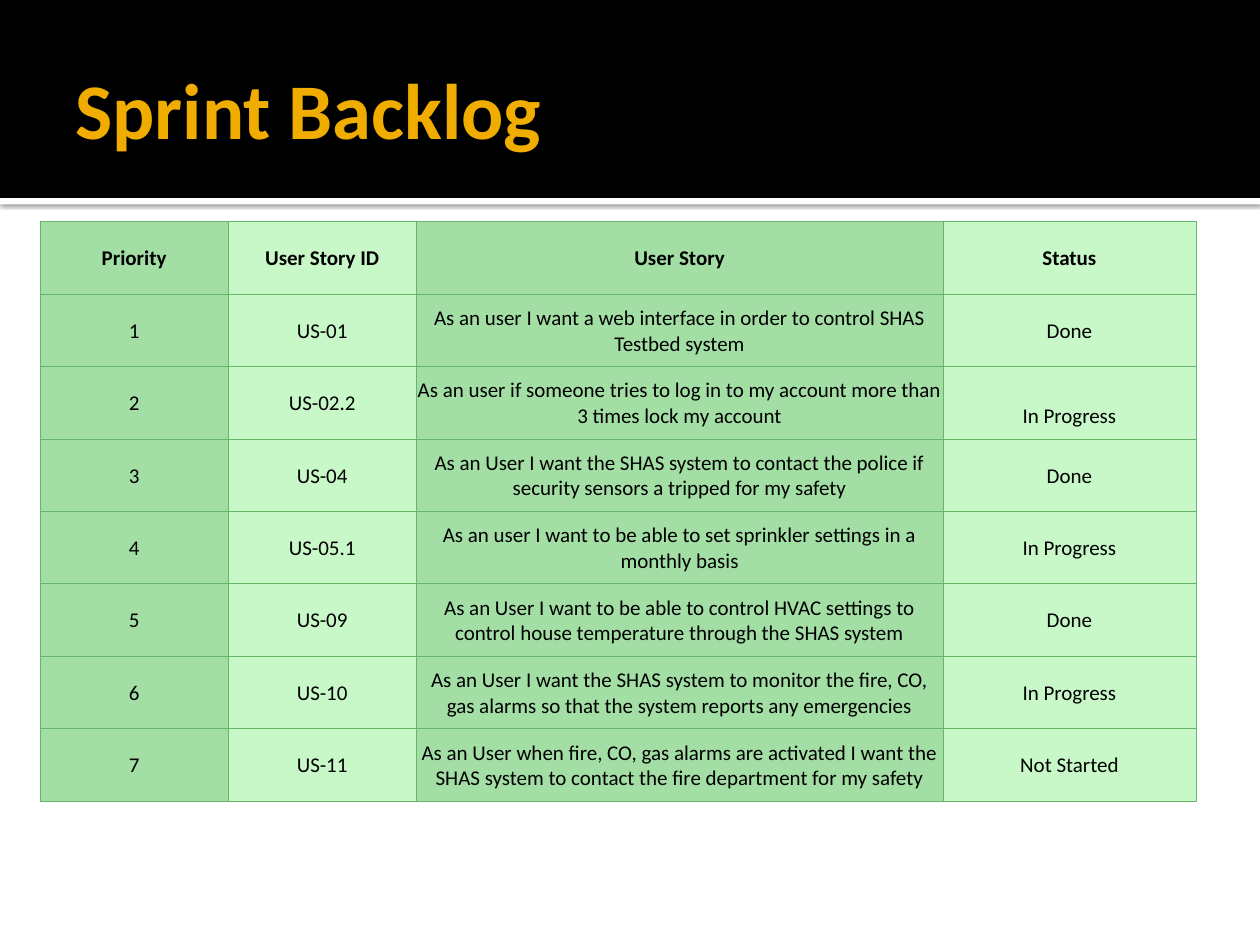
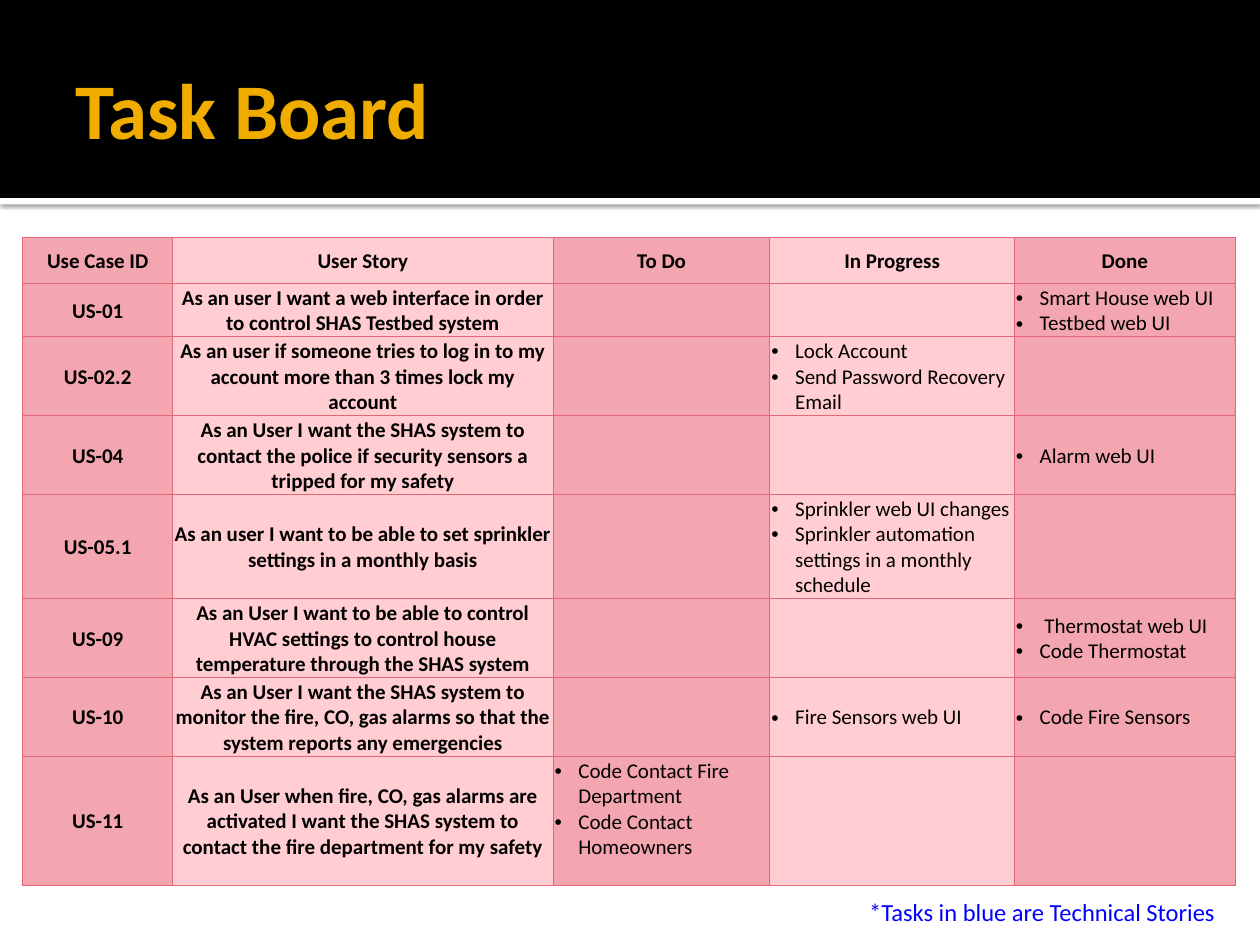
from lxml import etree
from pptx import Presentation
from pptx import util as u
from pptx.dml.color import RGBColor
from pptx.enum import shapes, text
from pptx.oxml import ns

FONT = "Calibri"
BLACK = RGBColor(0, 0, 0)
WHITE = RGBColor(255, 255, 255)
GOLD = RGBColor(0xF0, 0xAD, 0x00)
BLUE = RGBColor(0, 0, 255)
GREEN_DARK = RGBColor(0xA3, 0xDE, 0xA5)
GREEN_LIGHT = RGBColor(0xC8, 0xF8, 0xC8)
GREEN_LINE = RGBColor(0x67, 0xB5, 0x69)
PINK_DARK = RGBColor(0xF4, 0xA6, 0xB0)
PINK_LIGHT = RGBColor(0xFF, 0xCD, 0xD2)
PINK_LINE = RGBColor(0xE4, 0x67, 0x78)

STORIES = [
    ("US-01", "As an user I want a web interface in order to control SHAS Testbed system", "Done"),
    ("US-02.2", "As an user if someone tries to log in to my account more than 3 times lock my account",
     "In Progress"),
    ("US-04", "As an User I want the SHAS system to contact the police if security sensors a tripped "
     "for my safety", "Done"),
    ("US-05.1", "As an user I want to be able to set sprinkler settings in a monthly basis", "In Progress"),
    ("US-09", "As an User I want to be able to control HVAC settings to control house temperature "
     "through the SHAS system", "Done"),
    ("US-10", "As an User I want the SHAS system to monitor the fire, CO, gas alarms so that the "
     "system reports any emergencies", "In Progress"),
    ("US-11", "As an User when fire, CO, gas alarms are activated I want the SHAS system to contact "
     "the fire department for my safety", "Not Started"),
]
TASKS = {
    "US-01": {"Done": ["Smart House web UI", "Testbed web UI"]},
    "US-02.2": {"In Progress": ["Lock Account", "Send Password Recovery Email"]},
    "US-04": {"Done": ["Alarm web UI"]},
    "US-05.1": {"In Progress": ["Sprinkler web UI changes",
                                "Sprinkler automation settings in a monthly schedule"]},
    "US-09": {"Done": ["\u00a0Thermostat web UI", "Code Thermostat"]},
    "US-10": {"In Progress": ["Fire Sensors web UI"], "Done": ["Code Fire Sensors"]},
    "US-11": {"To Do": ["Code Contact Fire Department", "Code Contact Homeowners"]},
}
STAGES = ["To Do", "In Progress", "Done"]

BACKLOG = [["Priority", "User Story ID", "User Story", "Status"]]
BACKLOG += [[str(rank), *story] for rank, story in enumerate(STORIES, 1)]
BOARD = [["Use Case ID", "User Story", *STAGES]]
BOARD += [[code, story, *(TASKS[code].get(stage, []) for stage in STAGES)]
          for code, story, status in STORIES]

BACKLOG_COLUMNS = [3.79, 3.79, 10.62, 5.1]
BACKLOG_ROWS = [1.46] * len(BACKLOG)
BOARD_COLUMNS = [3.02, 7.67, 4.37, 4.93, 4.45]
BOARD_ROWS = [0.94, 1.07, 1.59, 1.59, 2.1, 1.59, 1.59, 2.6]


def style_runs(para, size, color, bold=False):
    for span in para.runs:
        span.font.name = FONT
        span.font.size = u.Pt(size)
        span.font.bold = bold
        span.font.color.rgb = color


def add_child(parent, tag, **attributes):
    return etree.SubElement(parent, ns.qn(tag), {key: str(value) for key, value in attributes.items()})


def add_bullet(para):
    properties = para._p.get_or_add_pPr()
    properties.set("marL", str(u.Cm(0.48)))
    properties.set("indent", str(-u.Cm(0.48)))
    add_child(properties, "a:buFont", typeface="Arial")
    add_child(properties, "a:buChar", char="•")


def add_borders(cell, color):
    properties = cell._tc.get_or_add_tcPr()
    for side in ("a:lnL", "a:lnR", "a:lnT", "a:lnB"):
        line = add_child(properties, side, w=u.Pt(0.5))
        add_child(add_child(line, "a:solidFill"), "a:srgbClr", val=color)


def fill_cell(cell, content, bold):
    cell.vertical_anchor = text.MSO_ANCHOR.MIDDLE
    cell.margin_left = cell.margin_right = cell.margin_top = u.Cm(0.03)
    cell.margin_bottom = 0
    bulleted = isinstance(content, list)
    cell.text_frame.text = "\n".join(content) if bulleted else content
    for para in cell.text_frame.paragraphs:
        if not bulleted:
            para.alignment = text.PP_ALIGN.CENTER
        elif content:
            add_bullet(para)
        style_runs(para, 12, BLACK, bold and not bulleted)


def add_grid(page, rows, left, top, widths, heights, colors, bold_body):
    dark, light, line = colors
    grid = page.shapes.add_table(len(rows), len(widths), u.Cm(left), u.Cm(top),
                                 u.Cm(sum(widths)), u.Cm(sum(heights))).table
    grid.first_row = grid.horz_banding = False
    for column, width in zip(grid.columns, widths):
        column.width = u.Cm(width)
    for row, height in zip(grid.rows, heights):
        row.height = u.Cm(height)
    for r, contents in enumerate(rows):
        for c, content in enumerate(contents):
            cell = grid.cell(r, c)
            fill_cell(cell, content, bold_body or r == 0)
            add_borders(cell, line)
            cell.fill.solid()
            cell.fill.fore_color.rgb = light if c % 2 else dark
    return grid


def add_band(page, top, height, color):
    band = page.shapes.add_shape(shapes.MSO_SHAPE.RECTANGLE, 0, u.Cm(top), deck.slide_width, u.Cm(height))
    band.shadow.inherit = False
    band.fill.solid()
    band.fill.fore_color.rgb = color
    band.line.fill.background()
    return band


def prepare_layout(page):
    strip = add_band(page, 3.99, 0.13, WHITE)
    effects = strip.element.spPr.find(ns.qn("a:effectLst"))
    shadow = add_child(effects, "a:outerShdw", blurRad=u.Pt(2.5), dist=u.Pt(0.8), dir=5400000)
    add_child(add_child(shadow, "a:srgbClr", val=BLACK), "a:alpha", val=60000)
    header = add_band(page, 0, 3.99, BLACK)
    for place, band in enumerate((strip, header)):
        band.element.nvSpPr.cNvPr.set("id", str(100 + place))
        layout.shapes._spTree.insert(2 + place, band.element)
    title = layout.placeholders[0]
    title.left, title.top, title.width, title.height = map(u.Cm, (1.27, 0.43, 22.86, 3.48))


def add_page(title):
    page = deck.slides.add_slide(layout)
    frame = page.shapes.title.text_frame
    frame.text = title
    frame.vertical_anchor = text.MSO_ANCHOR.MIDDLE
    frame.margin_left = u.Cm(0.25)
    frame.margin_right = frame.margin_top = frame.margin_bottom = u.Cm(0.13)
    frame.paragraphs[0].alignment = text.PP_ALIGN.LEFT
    style_runs(frame.paragraphs[0], 45, GOLD, True)
    return page


deck = Presentation()
deck.slide_width, deck.slide_height = u.Cm(25.4), u.Cm(19.05)
layout = deck.slide_layouts.get_by_name("Title Only")

backlog_page = add_page("Sprint Backlog")
prepare_layout(backlog_page)
backlog = add_grid(backlog_page, BACKLOG, 0.81, 4.47, BACKLOG_COLUMNS, BACKLOG_ROWS,
                   (GREEN_DARK, GREEN_LIGHT, GREEN_LINE), False)
backlog.cell(2, 3).margin_top = u.Cm(0.54)

board_page = add_page("Task Board")
board = add_grid(board_page, BOARD, 0.46, 4.78, BOARD_COLUMNS, BOARD_ROWS,
                 (PINK_DARK, PINK_LIGHT, PINK_LINE), True)
board.cell(7, 2).margin_bottom = u.Cm(0.5)

note = board_page.shapes.add_textbox(u.Cm(17.27), u.Cm(17.96), u.Cm(7.62), u.Cm(0.86))
note.text_frame.word_wrap = True
note.text_frame.text = "*Tasks in blue are Technical Stories"
style_runs(note.text_frame.paragraphs[0], 14, BLUE)

deck.save("out.pptx")
